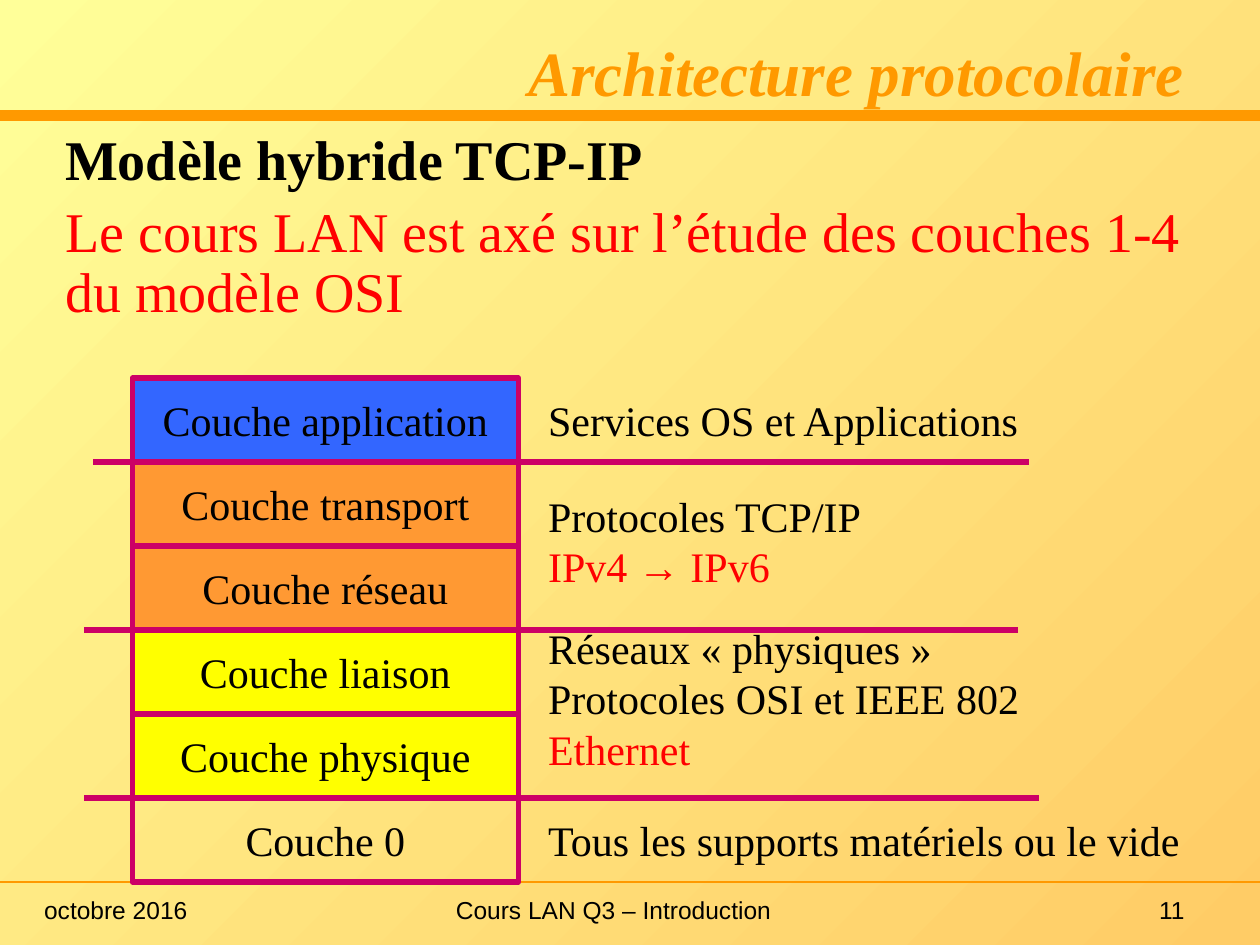
from pptx import Presentation
from pptx.dml.color import RGBColor
from pptx.enum.shapes import MSO_CONNECTOR as Connector, MSO_SHAPE as Shape
from pptx.enum.text import MSO_ANCHOR as Anchor, MSO_AUTO_SIZE as AutoSize, PP_ALIGN as Align
from pptx.oxml.ns import qn
from pptx.util import Cm, Pt
from lxml.etree import SubElement

COLORS = {
    "black": "000000",
    "red": "FF0000",
    "accent": "FF9900",
    "border": "CC0066",
    "application": "3366FF",
    "internet": "FF9933",
    "physical": "FFFF00",
    "back_start": "FFFF99",
    "back_end": "FFCC66",
}


def rgb(name):
    return RGBColor.from_string(COLORS[name])


class CoursePage:
    """Course style together with the slide being filled."""

    serif = "Times New Roman"
    sans = "Arial"

    def __init__(self, deck):
        self.page = deck.slides.add_slide(deck.slide_layouts[1])

    def background(self):
        fill = self.page.background.fill
        fill.gradient()
        fill.gradient_angle = 315
        for stop, name in zip(fill.gradient_stops, ("back_start", "back_end")):
            stop.color.rgb = rgb(name)

    def place(self, box, left, top, width, height):
        box.left, box.top, box.width, box.height = map(Cm, (left, top, width, height))

    def set_lines(self, box, lines, size, align=Align.LEFT, anchor=Anchor.MIDDLE, font=None):
        """Fill a box with (text, color) lines and return its paragraphs."""
        frame = box.text_frame
        frame.text = "\n".join(text for text, _ in lines)
        frame.word_wrap = True
        frame.auto_size = AutoSize.NONE
        frame.vertical_anchor = anchor
        for para, (_, color) in zip(frame.paragraphs, lines):
            para.alignment = align
            for span in para.runs:
                span.font.name = font or self.serif
                span.font.size = Pt(size)
                span.font.color.rgb = rgb(color)
        return frame.paragraphs

    def title(self, text):
        box = self.page.shapes.title
        self.place(box, 4.23, 0.42, 19.9, 1.91)
        para = self.set_lines(box, [(text, "accent")], 36, Align.RIGHT, Anchor.BOTTOM)[0]
        para.runs[0].font.bold = True
        para.runs[0].font.italic = True

    def body(self, lines):
        """Show unbulleted lines, the first one in bold."""
        box = self.page.placeholders[1]
        self.place(box, 1.06, 2.54, 23.07, 3.18)
        paras = self.set_lines(box, lines, 32, anchor=Anchor.TOP)
        for para in paras:
            para.line_spacing = 0.9
            para.space_before = Pt(6.4)
            props = para._p.get_or_add_pPr()
            props.set("marL", "0")
            props.set("indent", "0")
            SubElement(props, qn("a:buNone"))
        paras[0].runs[0].font.bold = True

    def label(self, lines, left, top, width, height, size=24, **style):
        box = self.page.shapes.add_textbox(*map(Cm, (left, top, width, height)))
        self.set_lines(box, lines, size, **style)

    def layer(self, text, fill, left, top, width, height):
        box = self.page.shapes.add_shape(Shape.RECTANGLE, *map(Cm, (left, top, width, height)))
        box.shadow.inherit = False
        if fill:
            box.fill.solid()
            box.fill.fore_color.rgb = rgb(fill)
        else:
            box.fill.background()
        box.line.color.rgb = rgb("border")
        box.line.width = Pt(3)
        self.set_lines(box, [(text, "black")], 24, Align.CENTER)

    def rule(self, start, end, height, color="border", weight=3):
        """Draw a horizontal line."""
        line = self.page.shapes.add_connector(
            Connector.STRAIGHT, Cm(start), Cm(height), Cm(end), Cm(height))
        line.line.color.rgb = rgb(color)
        line.line.width = Pt(weight)
        SubElement(line._element.spPr, qn("a:effectLst"))


LAYERS = [
    ("Couche application", "application"),
    ("Couche transport", "internet"),
    ("Couche réseau", "internet"),
    ("Couche liaison", "physical"),
    ("Couche physique", "physical"),
    ("Couche 0", None),
]
STACK_TOP, LAYER_HEIGHT = 7.62, 10.16 / 6

# Top, height and lines of each comment beside the stack
COMMENTS = [
    (7.62, 1.69, [("Services OS et Applications", "black")]),
    (9.3, 3.2, [("Protocoles TCP/IP", "black"), ("IPv4 → IPv6", "red")]),
    (12.47, 3.2, [("Réseaux « physiques »", "black"),
                  ("Protocoles OSI et IEEE 802", "black"),
                  ("Ethernet", "red")]),
    (16.09, 1.69, [("Tous les supports matériels ou le vide", "black")]),
]

# Number of layers above each separator, then its start and end
SEPARATORS = [
    (3, 1.7, 20.52),
    (1, 1.88, 12.98),
    (5, 1.7, 12.78),
    (1, 1.9, 20.75),
    (5, 2.11, 20.95),
]

FOOTERS = [
    ("octobre 2016", 0.64, 5.28, Align.LEFT),
    ("Cours LAN Q3 – Introduction", 5.92, 12.9, Align.CENTER),
    ("11", 18.85, 5.28, Align.RIGHT),
]


def main():
    deck = Presentation()
    deck.slide_width, deck.slide_height = Cm(25.4), Cm(19.05)
    course = CoursePage(deck)
    course.background()
    course.rule(0, 25.4, 2.33, "accent", 6)
    course.rule(0, 25.4, 17.78, "accent", 1)
    course.title("Architecture protocolaire")
    course.body([
        ("Modèle hybride TCP-IP", "black"),
        ("Le cours LAN est axé sur l’étude des couches 1-4 du modèle OSI", "red"),
    ])
    for row, (text, fill) in enumerate(LAYERS):
        course.layer(text, fill, 2.67, STACK_TOP + row * LAYER_HEIGHT, 7.78, LAYER_HEIGHT)
    for top, height, lines in COMMENTS:
        course.label(lines, 10.8, top, 13.5, height)
    for above, start, end in SEPARATORS:
        course.rule(start, end, STACK_TOP + above * LAYER_HEIGHT)
    for text, left, width, align in FOOTERS:
        course.label([(text, "black")], left, 17.91, width, 0.85,
                     size=14, align=align, font=course.sans)
    deck.save("out.pptx")


if __name__ == "__main__":
    main()
